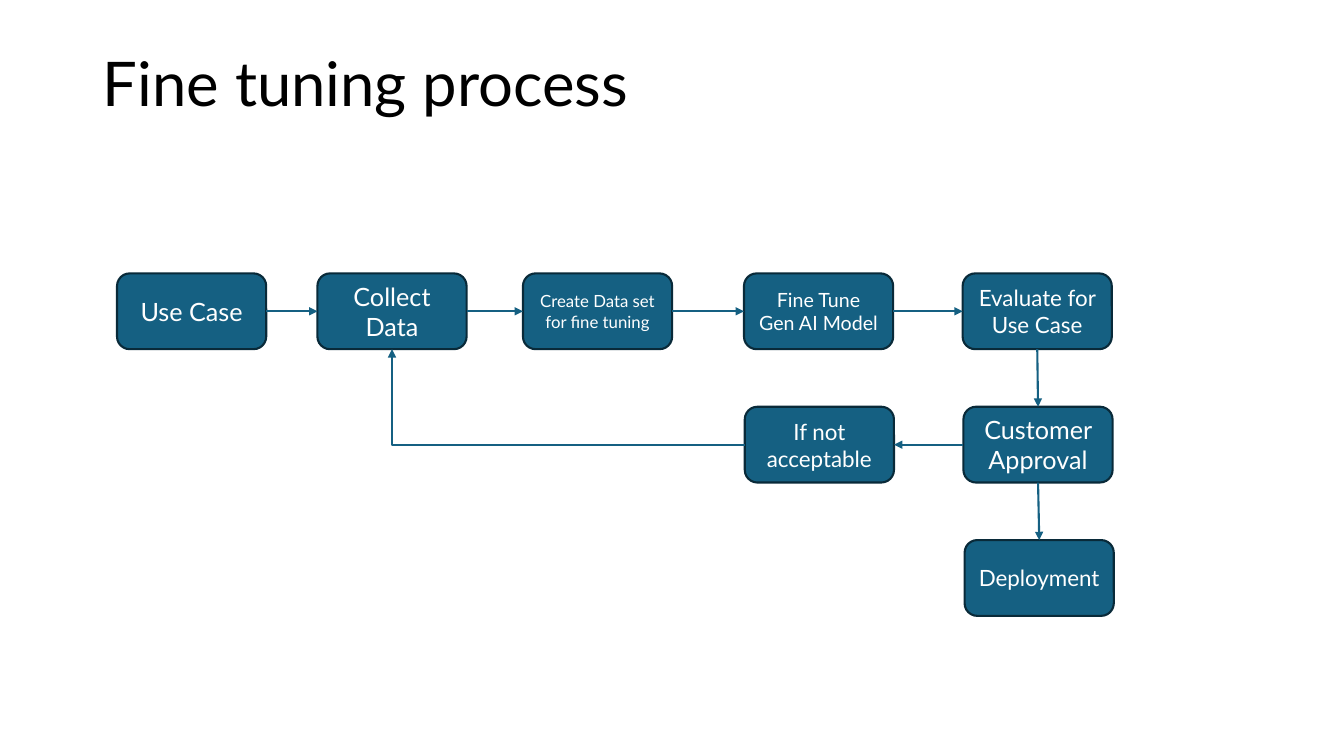
"""Build the slide that shows the fine tuning process as a flowchart."""
from dataclasses import dataclass

from lxml.etree import SubElement
from pptx import Presentation
from pptx.dml.color import RGBColor
from pptx.enum.shapes import MSO_CONNECTOR as Route, MSO_SHAPE as Preset
from pptx.enum.text import MSO_ANCHOR as Anchor, PP_ALIGN as Align
from pptx.oxml.ns import qn
from pptx.shapes.autoshape import Shape
from pptx.slide import Slide
from pptx.text.text import TextFrame
from pptx.util import Cm, Pt

COLORS = {"page": "FFFFFF", "title": "000000", "step": "156082",
          "border": "092A39", "label": "FFFFFF", "arrow": "156082"}
FONT = "Lato"
STEP_WIDTH, STEP_HEIGHT = 3.76, 1.91
FIRST_ROW, ROW_PITCH = 6.89, 3.36
LINE_WIDTH = 1.5
TOP, LEFT, BOTTOM, RIGHT = range(4)


@dataclass(frozen=True)
class Step:
    """A box of the process, placed by its left edge in cm and its row."""
    label: str
    left: float
    row: int
    size: int


@dataclass(frozen=True)
class Arrow:
    """An arrow between the sides of two steps."""
    source: str
    source_side: int
    target: str
    target_side: int
    bent: bool = False


STEPS = [
    Step("Use Case", 2.95, 0, 18),
    Step("Collect Data", 8.0, 0, 18),
    Step("Create Data set for fine tuning", 13.18, 0, 12),
    Step("Fine Tune Gen AI Model", 18.75, 0, 14),
    Step("Evaluate for Use Case", 24.26, 0, 16),
    Step("Customer Approval", 24.28, 1, 18),
    Step("Deployment", 24.31, 2, 16),
    Step("If not acceptable", 18.77, 1, 16),
]
MAIN_ROW = [step.label for step in STEPS if step.row == 0]
ARROWS = [Arrow(source, RIGHT, target, LEFT)
          for source, target in zip(MAIN_ROW, MAIN_ROW[1:])] + [
    Arrow("Evaluate for Use Case", BOTTOM, "Customer Approval", TOP),
    Arrow("Customer Approval", BOTTOM, "Deployment", TOP),
    Arrow("Customer Approval", LEFT, "If not acceptable", RIGHT),
    Arrow("If not acceptable", LEFT, "Collect Data", BOTTOM, bent=True),
]


def color(name: str) -> RGBColor:
    """Return the named colour."""
    return RGBColor.from_string(COLORS[name])


def write(frame: TextFrame, text: str, size: int, ink: str, align: Align) -> None:
    """Put one formatted paragraph in the middle of a text frame."""
    frame.text = text
    frame.word_wrap = True
    frame.vertical_anchor = Anchor.MIDDLE
    paragraph = frame.paragraphs[0]
    paragraph.alignment = align
    paragraph.font.name = FONT
    paragraph.font.size = Pt(size)
    paragraph.font.color.rgb = color(ink)


def add_title(slide: Slide, text: str) -> None:
    """Place and format the title placeholder."""
    title = slide.shapes.title
    title.left, title.top = Cm(2.34), Cm(1.02)
    title.width, title.height = Cm(29.21), Cm(2.34)
    write(title.text_frame, text, 44, "title", Align.LEFT)
    title.text_frame.paragraphs[0].line_spacing = 0.9


def add_step(slide: Slide, step: Step) -> Shape:
    """Draw one rounded box with its label."""
    box = slide.shapes.add_shape(
        Preset.ROUNDED_RECTANGLE, Cm(step.left),
        Cm(FIRST_ROW + step.row * ROW_PITCH), Cm(STEP_WIDTH), Cm(STEP_HEIGHT))
    box.shadow.inherit = False
    box.fill.solid()
    box.fill.fore_color.rgb = color("step")
    box.line.color.rgb = color("border")
    box.line.width = Pt(LINE_WIDTH)
    write(box.text_frame, step.label, step.size, "label", Align.CENTER)
    return box


def add_arrow(slide: Slide, arrow: Arrow, boxes: dict[str, Shape]) -> None:
    """Connect two boxes with a straight arrow or one with a single bend."""
    route = Route.ELBOW if arrow.bent else Route.STRAIGHT
    connector = slide.shapes.add_connector(route, 0, 0, 0, 0)
    connector.begin_connect(boxes[arrow.source], arrow.source_side)
    connector.end_connect(boxes[arrow.target], arrow.target_side)
    connector.line.color.rgb = color("arrow")
    connector.line.width = Pt(LINE_WIDTH)
    properties = connector._element.spPr
    if arrow.bent:
        properties.find(qn("a:prstGeom")).set("prst", "bentConnector2")
    SubElement(properties.find(qn("a:ln")), qn("a:tailEnd"), type="triangle")
    SubElement(properties, qn("a:effectLst"))


def main() -> None:
    """Build and save the presentation."""
    deck = Presentation()
    deck.slide_width, deck.slide_height = Cm(33.87), Cm(19.05)
    slide = deck.slides.add_slide(deck.slide_layouts.get_by_name("Title Only"))
    slide.background.fill.solid()
    slide.background.fill.fore_color.rgb = color("page")
    add_title(slide, "Fine tuning process")
    boxes = {step.label: add_step(slide, step) for step in STEPS}
    for arrow in ARROWS:
        add_arrow(slide, arrow, boxes)
    deck.save("out.pptx")


if __name__ == "__main__":
    main()
